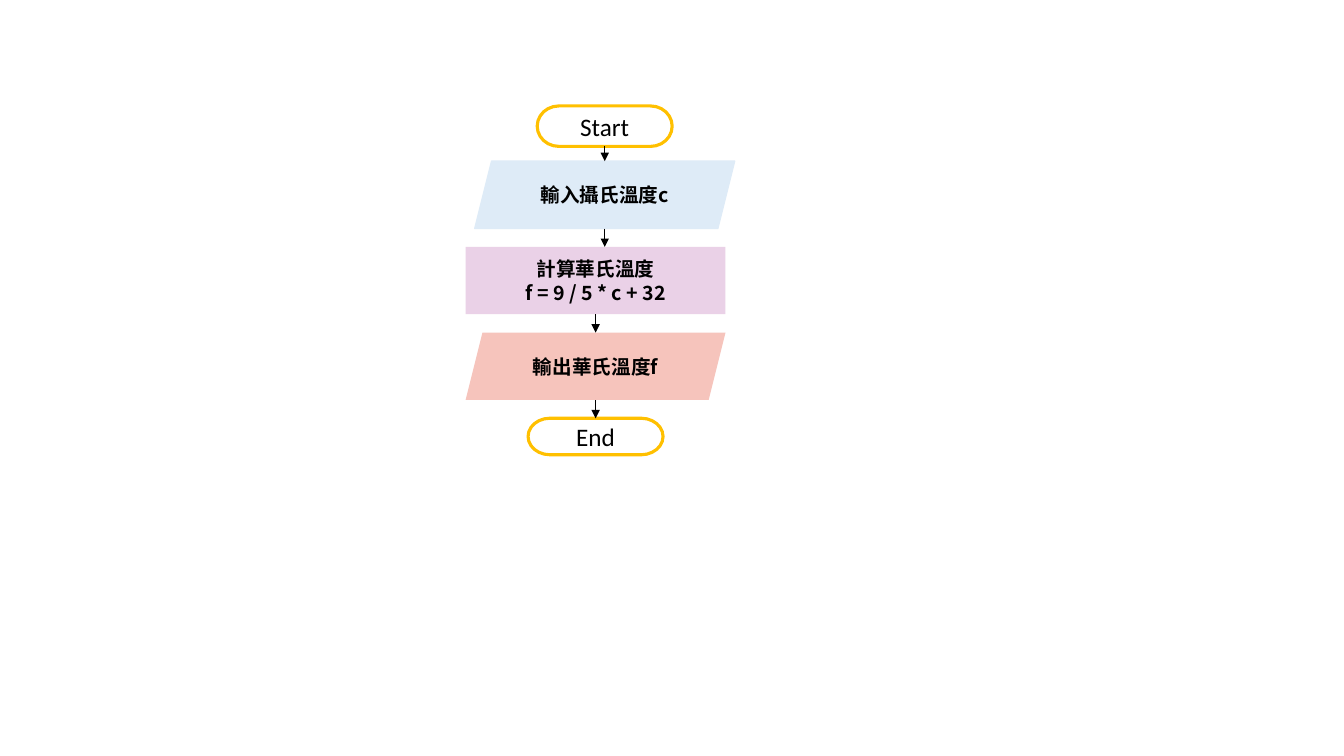
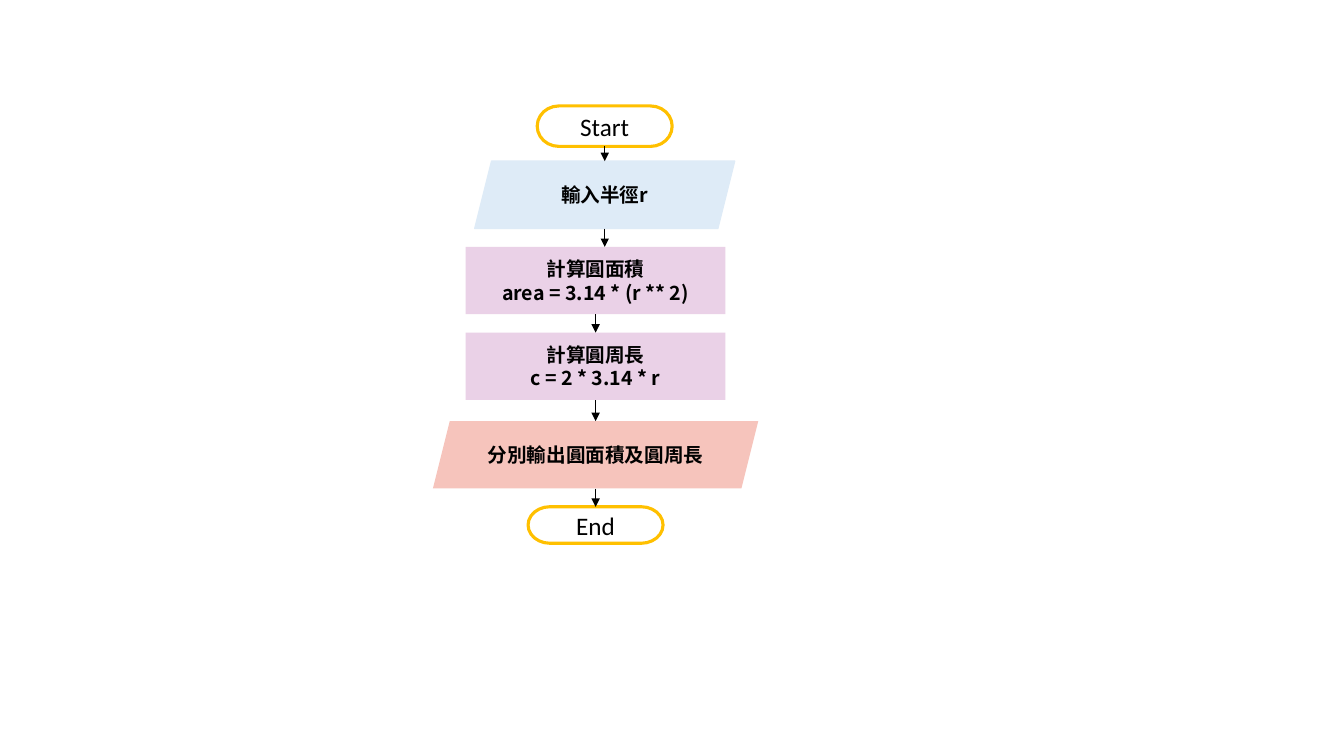
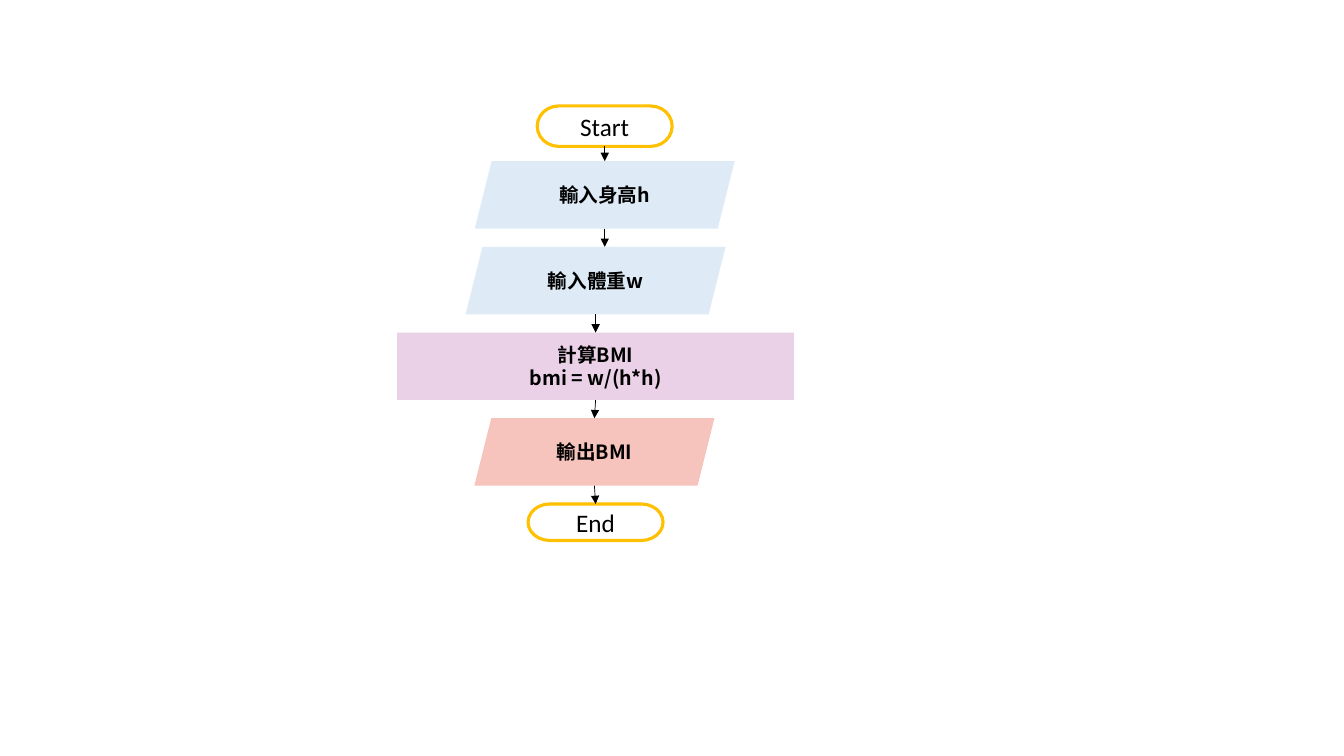
from dataclasses import dataclass
from itertools import pairwise

from pptx import Presentation
from pptx.dml.color import RGBColor
from pptx.enum.shapes import MSO_CONNECTOR as Link, MSO_SHAPE as Form
from pptx.enum.text import MSO_ANCHOR as Anchor, PP_ALIGN as Align
from pptx.oxml import parse_xml
from pptx.oxml.ns import nsdecls, qn
from pptx.slide import Slide
from pptx.util import Cm, Pt

# Colours and fonts
BLACK = RGBColor(0x00, 0x00, 0x00)
WHITE = RGBColor(0xFF, 0xFF, 0xFF)
GOLD = RGBColor(0xFF, 0xC0, 0x00)
BLUE = RGBColor(0xDE, 0xEB, 0xF7)
MAUVE = RGBColor(0xEA, 0xD1, 0xE7)
ROSE = RGBColor(0xF6, 0xC4, 0xBC)
LATIN = "Calibri"
CJK = "Noto Sans CJK SC"

# Layout, in centimetres
TOP = 2.67
HEAD = 15.24  # axis of the first two steps
AXIS = 15.01  # axis of the steps below
GAP = 0.46


@dataclass(frozen=True)
class Kind:
    form: Form
    fill: RGBColor
    edge: RGBColor | None = None
    line: float = 1
    high: float = 1.7
    font: str = CJK
    size: int = 14
    bold: bool = True


@dataclass(frozen=True)
class Step:
    kind: Kind
    text: str
    wide: float = 6.55
    mid: float = AXIS
    gap: float = GAP  # space above the step


@dataclass(frozen=True)
class Port:
    mid: float
    top: float
    foot: float


def cap(high: float) -> Kind:
    return Kind(Form.FLOWCHART_TERMINATOR, WHITE, GOLD, 2.25, high, LATIN, 18, False)


INPUT = Kind(Form.PARALLELOGRAM, BLUE)
EDGED = Kind(Form.PARALLELOGRAM, BLUE, BLUE)
CALC = Kind(Form.RECTANGLE, MAUVE)
OUTPUT = Kind(Form.PARALLELOGRAM, ROSE)

START = Step(cap(1.02), "Start", 3.4, HEAD, 0)
END = Step(cap(0.92), "End", 3.4)


def first(kind: Kind, text: str) -> Step:
    return Step(kind, text, mid=HEAD, gap=0.37)


# Steps between Start and End, one list for each slide
CHARTS: list[list[Step]] = [
    [
        first(EDGED, "輸入攝氏溫度c"),
        Step(CALC, "計算華氏溫度\nf = 9 / 5 * c + 32"),
        Step(OUTPUT, "輸出華氏溫度f"),
    ],
    [
        first(EDGED, "輸入半徑r"),
        Step(CALC, "計算圓面積\narea = 3.14 * (r ** 2)"),
        Step(CALC, "計算圓周長\nc = 2 * 3.14 * r"),
        Step(OUTPUT, "分別輸出圓面積及圓周長", wide=8.2, gap=0.53),
    ],
    [
        first(INPUT, "輸入身高h"),
        Step(INPUT, "輸入體重w"),
        Step(CALC, "計算BMI\nbmi = w/(h*h)", wide=10),
        Step(OUTPUT, "輸出BMI", wide=6.05, mid=14.98),
    ],
]


def draw_step(slide: Slide, step: Step, top: float) -> Port:
    kind = step.kind
    box = slide.shapes.add_shape(
        kind.form, Cm(step.mid - step.wide / 2), Cm(top), Cm(step.wide), Cm(kind.high)
    )
    box.shadow.inherit = False
    box.fill.solid()
    box.fill.fore_color.rgb = kind.fill
    if kind.edge is None:
        box.line.fill.background()
    else:
        box.line.color.rgb = kind.edge
        box.line.width = Pt(kind.line)

    frame = box.text_frame
    frame.text = step.text
    frame.word_wrap = True
    frame.vertical_anchor = Anchor.MIDDLE
    for para in frame.paragraphs:
        para.alignment = Align.CENTER
        font = para.font
        font.name, font.size, font.bold = kind.font, Pt(kind.size), kind.bold
        font.color.rgb = BLACK
    # Chinese characters take the same font as Latin ones
    for latin in list(box.element.iter(qn("a:latin"))):
        latin.addnext(parse_xml(f'<a:ea {nsdecls("a")} typeface="{kind.font}"/>'))
    return Port(step.mid, top, top + kind.high)


def draw_arrow(slide: Slide, src: Port, dest: Port) -> None:
    # Below the head the arrow joins centres; leaving it, it drops straight
    tip = src.mid if src.mid == HEAD else dest.mid
    arrow = slide.shapes.add_connector(
        Link.STRAIGHT, Cm(src.mid), Cm(src.foot), Cm(tip), Cm(dest.top)
    )
    arrow.line.color.rgb = BLACK
    arrow.line.width = Pt(0.5)
    line = arrow.element.find(f'.//{qn("a:ln")}')
    line.append(parse_xml(f'<a:tailEnd {nsdecls("a")} type="triangle"/>'))
    line.addnext(parse_xml(f'<a:effectLst {nsdecls("a")}/>'))


def draw_chart(slide: Slide, steps: list[Step]) -> None:
    ports: list[Port] = []
    foot = TOP
    for step in steps:
        port = draw_step(slide, step, foot + step.gap)
        ports.append(port)
        foot = port.foot
    for src, dest in pairwise(ports):
        draw_arrow(slide, src, dest)


def main() -> None:
    deck = Presentation()
    deck.slide_width, deck.slide_height = Cm(33.87), Cm(19.05)
    blank = deck.slide_layouts[6]
    for steps in CHARTS:
        draw_chart(deck.slides.add_slide(blank), [START, *steps, END])
    deck.save("out.pptx")


if __name__ == "__main__":
    main()
